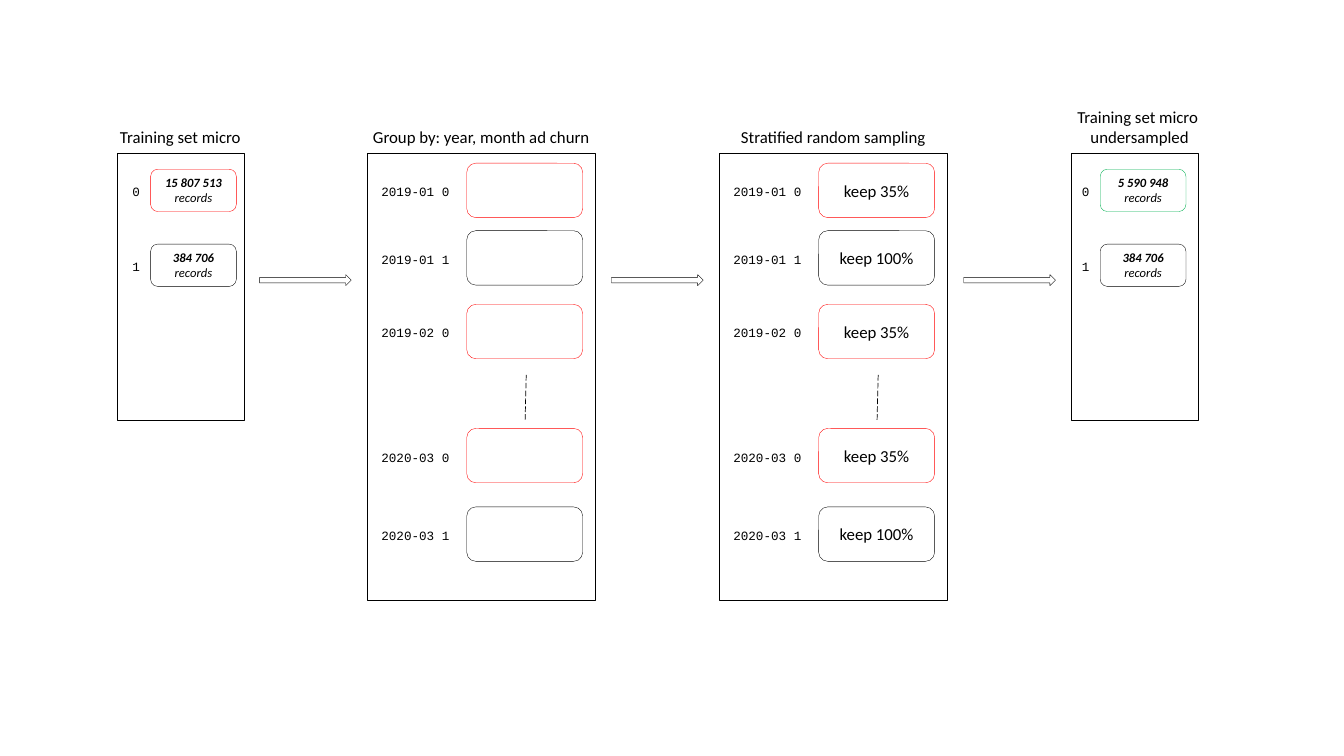
import pptx
import pptx.dml.color
import pptx.enum.dml
import pptx.enum.shapes
import pptx.enum.text
import pptx.oxml
import pptx.util

Pt = pptx.util.Pt
Shape = pptx.enum.shapes.MSO_SHAPE
Align = pptx.enum.text.PP_ALIGN

COLORS = {"black": "000000", "red": "FF0000", "green": "00B050"}
PANEL_TOP = 109.4
SMALL_PANEL = (90.7, 190.8)
LARGE_PANEL = (163.4, 319)
ARROW_WIDTH, ARROW_HEIGHT, ARROW_MIDDLE = 65.5, 7.9, 200.1
GROUP_ROWS = [
    (7.2, "2019-01 0", "red", "keep 35%"),
    (55.4, "2019-01 1", "black", "keep 100%"),
    (108, "2019-02 0", "red", "keep 35%"),
    (196.6, "2020-03 0", "red", "keep 35%"),
    (252.7, "2020-03 1", "black", "keep 100%"),
]


def rgb(name):
    return pptx.dml.color.RGBColor.from_string(COLORS[name])


def write(frame, text, font, size, align):
    frame.text = text
    for para in frame.paragraphs:
        para.alignment = align
        for span in para.runs:
            span.font.name = font
            span.font.size = Pt(size)
            span.font.color.rgb = rgb("black")


def add_outline(slide, kind, box, color="black"):
    shape = slide.shapes.add_shape(kind, *map(Pt, box))
    shape.shadow.inherit = False
    shape.fill.background()
    shape.line.color.rgb = rgb(color)
    shape.line.width = Pt(0.25)
    return shape


def add_text(slide, box, text, font, size, align=Align.LEFT):
    frame = slide.shapes.add_textbox(*map(Pt, box)).text_frame
    frame.word_wrap = False
    frame.auto_size = pptx.enum.text.MSO_AUTO_SIZE.SHAPE_TO_FIT_TEXT
    write(frame, text, font, size, align)


def add_panel(slide, box, heading, heading_width, shift=0):
    left, top, width, height = box
    add_outline(slide, Shape.RECTANGLE, box)
    heading_height = 36 if "\n" in heading else 21.6
    heading_left = left + (width - heading_width) / 2 + shift
    add_text(slide, (heading_left, top - heading_height - 0.7, heading_width, heading_height),
             heading, "Calibri", 12, Align.CENTER)


def add_row(slide, box, label, label_left, label_width, color, text, size):
    left, top, width, height = box
    label_top = top + (height - 18) / 2 + 1
    add_text(slide, (label_left, label_top, label_width, 18), label, "Courier New", 9)
    card = add_outline(slide, Shape.ROUNDED_RECTANGLE, box, color)
    if text:
        frame = card.text_frame
        frame.vertical_anchor = pptx.enum.text.MSO_ANCHOR.MIDDLE
        write(frame, text, "Calibri", size, Align.CENTER)
    return card


def add_training_set(slide, box, heading, heading_width, shift, card_offset, rows):
    left, top, width, height = box
    add_panel(slide, box, heading, heading_width, shift)
    for index, (color, count) in enumerate(rows):
        card_left = left + card_offset
        card_box = (card_left, top + 11.5 + 53.5 * index, 61.2, 30.2)
        card = add_row(slide, card_box, str(index), card_left - 20.2, 20.2,
                       color, f"{count}\nrecords", 9)
        for para, bold in zip(card.text_frame.paragraphs, (True, False)):
            para.runs[0].font.bold = bold
            para.runs[0].font.italic = True


def add_groups(slide, box, heading, heading_width, with_rates):
    left, top, width, height = box
    add_panel(slide, box, heading, heading_width)
    for offset, label, color, rate in GROUP_ROWS:
        add_row(slide, (left + 71.3, top + offset, 82.8, 38.9), label, left + 3.2, 63.4,
                color, rate if with_rates else "", 12)
    ellipsis = slide.shapes.add_connector(
        pptx.enum.shapes.MSO_CONNECTOR.STRAIGHT,
        Pt(left + 113.8), Pt(top + 158.4), Pt(left + 113), Pt(top + 190.8))
    ellipsis.line.color.rgb = rgb("black")
    ellipsis.line.width = Pt(0.5)
    ellipsis.line.dash_style = pptx.enum.dml.MSO_LINE.LONG_DASH
    properties = ellipsis._element.spPr
    properties.append(pptx.oxml.parse_xml(
        '<a:effectLst xmlns:a="http://schemas.openxmlformats.org/drawingml/2006/main"/>'))


def add_arrow_between(slide, before, after):
    gap_start = before[0] + before[2]
    left = (gap_start + after[0] - ARROW_WIDTH) / 2
    add_outline(slide, Shape.RIGHT_ARROW,
                (left, ARROW_MIDDLE - ARROW_HEIGHT / 2, ARROW_WIDTH, ARROW_HEIGHT))


def add_sampling_slide(deck):
    slide = deck.slides.add_slide(deck.slide_layouts[6])
    source = (83.5, PANEL_TOP, *SMALL_PANEL)
    grouped = (262.1, PANEL_TOP, *LARGE_PANEL)
    sampled = (513.5, PANEL_TOP, *LARGE_PANEL)
    result = (765.4, PANEL_TOP, *SMALL_PANEL)
    add_training_set(slide, source, "Training set micro", 101.5, 0, 24.1,
                     [("red", "15 807 513"), ("black", "384 706")])
    add_groups(slide, grouped, "Group by: year, month ad churn", 173.5, False)
    add_groups(slide, sampled, "Stratified random sampling", 147.6, True)
    add_training_set(slide, result, "Training set micro \nundersampled", 104.4, 3.3, 20.5,
                     [("green", "5 590 948"), ("black", "384 706")])
    panels = [source, grouped, sampled, result]
    for before, after in zip(panels, panels[1:]):
        add_arrow_between(slide, before, after)


def main():
    deck = pptx.Presentation()
    deck.slide_width = Pt(960)
    deck.slide_height = Pt(540)
    add_sampling_slide(deck)
    deck.save("out.pptx")


if __name__ == "__main__":
    main()
